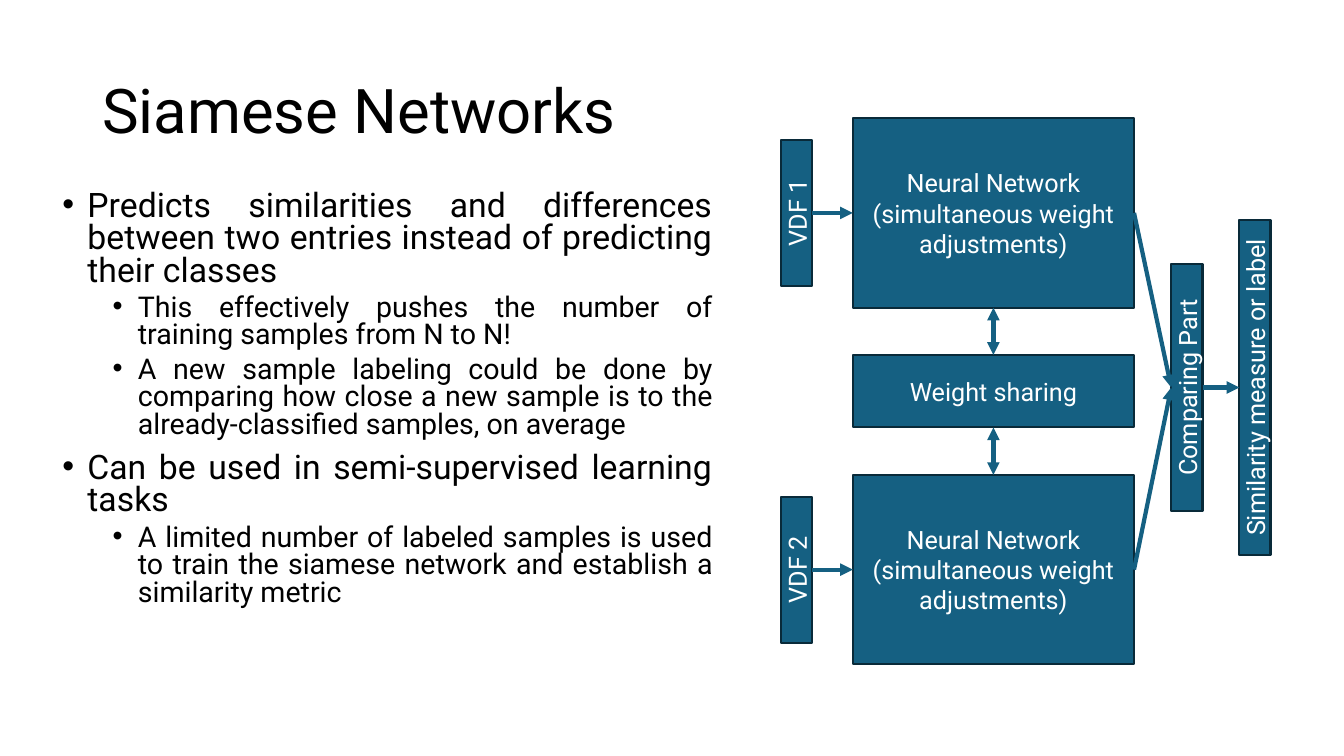
"""Build the Siamese Networks slide with its bullet list and network diagram."""
from dataclasses import dataclass
from enum import IntEnum

from lxml.etree import SubElement
from pptx import Presentation
from pptx.dml.color import RGBColor
from pptx.enum.shapes import MSO_CONNECTOR, MSO_SHAPE
from pptx.enum.text import MSO_ANCHOR, PP_ALIGN
from pptx.oxml.ns import qn
from pptx.util import Pt

FONT = "Roboto"
BLACK, WHITE, TEAL, NAVY = "000000", "FFFFFF", "156082", "092A39"
BAR = 22.32


class Side(IntEnum):
    TOP = 0
    LEFT = 1
    BOTTOM = 2
    RIGHT = 3


@dataclass(frozen=True)
class Block:
    lines: tuple[str, ...]
    center_x: float
    center_y: float
    width: float
    height: float
    upright: bool = False

    def side_middle(self, side: Side) -> tuple[float, float]:
        across, down = {Side.TOP: (0, -1), Side.LEFT: (-1, 0),
                        Side.BOTTOM: (0, 1), Side.RIGHT: (1, 0)}[side]
        width, height = (self.height, self.width) if self.upright else (self.width, self.height)
        return self.center_x + across * width / 2, self.center_y + down * height / 2

    def site(self, side: Side) -> int:
        return (side - 1) % 4 if self.upright else int(side)


@dataclass(frozen=True)
class Link:
    source: str
    source_side: Side
    target: str
    target_side: Side
    two_way: bool = False


@dataclass(frozen=True)
class Bullet:
    text: str
    level: int = 0


BULLETS = [
    Bullet("Predicts similarities and differences between two entries instead of predicting their classes"),
    Bullet("This effectively pushes the number of training samples from N to N!", 1),
    Bullet("A new sample labeling could be done by comparing how close a new sample is "
           "to the already-classified samples, on average", 1),
    Bullet("Can be used in semi-supervised learning tasks"),
    Bullet("A limited number of labeled samples is used to train the siamese network "
           "and establish a similarity metric", 1),
]

UPPER, LOWER, MIDDLE = 152.1, 406.9, 276.8
NETWORK_X, VDF_X = 709.6, 569.2
BLOCKS = {
    "network 1": Block(("Neural Network", "(simultaneous weight adjustments)"),
                       NETWORK_X, UPPER, 200.9, 135.4),
    "network 2": Block(("Neural Network (simultaneous weight adjustments)",),
                       NETWORK_X, LOWER, 200.9, 135.4),
    "vdf 1": Block(("VDF 1",), VDF_X, UPPER, 104.4, BAR, True),
    "vdf 2": Block(("VDF 2",), VDF_X, LOWER, 104.4, BAR, True),
    "comparing": Block(("Comparing Part",), 847.8, MIDDLE, 176.4, BAR, True),
    "similarity": Block(("Similarity measure or label",), 896.4, MIDDLE, 239, BAR, True),
    "sharing": Block(("Weight sharing",), NETWORK_X, 279.4, 200.9, 51.8),
}
LINKS = [
    Link("vdf 1", Side.RIGHT, "network 1", Side.LEFT),
    Link("vdf 2", Side.RIGHT, "network 2", Side.LEFT),
    Link("network 1", Side.RIGHT, "comparing", Side.LEFT),
    Link("network 2", Side.RIGHT, "comparing", Side.LEFT),
    Link("comparing", Side.RIGHT, "similarity", Side.LEFT),
    Link("sharing", Side.TOP, "network 1", Side.BOTTOM, True),
    Link("network 2", Side.TOP, "sharing", Side.BOTTOM, True),
]


def color(hex_value: str) -> RGBColor:
    return RGBColor.from_string(hex_value)


def style(paragraph, size: float, hex_value: str) -> None:
    font = paragraph.font
    font.name, font.size = FONT, Pt(size)
    font.color.rgb = color(hex_value)


def add_text_frame(slide, left: float, top: float, width: float, height: float):
    frame = slide.shapes.add_textbox(Pt(left), Pt(top), Pt(width), Pt(height)).text_frame
    frame.word_wrap = True
    return frame


def draw_title(slide, title: str) -> None:
    frame = add_text_frame(slide, 66, 28.75, 828, 104.4)
    frame.vertical_anchor = MSO_ANCHOR.MIDDLE
    heading = frame.paragraphs[0]
    heading.text, heading.line_spacing = title, 0.9
    style(heading, 44, BLACK)


def draw_bullets(slide, bullets: list[Bullet]) -> None:
    frame = add_text_frame(slide, 37.4, 133.2, 478.8, 329)
    for index, bullet in enumerate(bullets):
        paragraph = frame.add_paragraph() if index else frame.paragraphs[0]
        paragraph.text, paragraph.level = bullet.text, bullet.level
        paragraph.alignment, paragraph.line_spacing = PP_ALIGN.JUSTIFY, 0.8
        if index:
            paragraph.space_before = Pt(5 if bullet.level else 10)
        properties = paragraph._p.get_or_add_pPr()
        properties.set("marL", str(Pt(18 + 36 * bullet.level)))
        properties.set("indent", str(Pt(-18)))
        SubElement(properties, qn("a:buFont"), typeface="Arial")
        SubElement(properties, qn("a:buChar"), char="•")
        style(paragraph, 20.4 if bullet.level else 24.1, BLACK)


def draw_block(slide, block: Block):
    shape = slide.shapes.add_shape(
        MSO_SHAPE.RECTANGLE, Pt(block.center_x - block.width / 2),
        Pt(block.center_y - block.height / 2), Pt(block.width), Pt(block.height))
    shape.rotation = 270 if block.upright else 0
    shape.shadow.inherit = False
    shape.fill.solid()
    shape.fill.fore_color.rgb = color(TEAL)
    shape.line.color.rgb = color(NAVY)
    shape.line.width = Pt(1.5)
    frame = shape.text_frame
    frame.word_wrap, frame.vertical_anchor = True, MSO_ANCHOR.MIDDLE
    for index, line in enumerate(block.lines):
        paragraph = frame.add_paragraph() if index else frame.paragraphs[0]
        paragraph.text, paragraph.alignment = line, PP_ALIGN.CENTER
        style(paragraph, 18, WHITE)
    return shape


def draw_link(slide, link: Link, shapes: dict) -> None:
    source, target = BLOCKS[link.source], BLOCKS[link.target]
    start = [Pt(value) for value in source.side_middle(link.source_side)]
    finish = [Pt(value) for value in target.side_middle(link.target_side)]
    arrow = slide.shapes.add_connector(MSO_CONNECTOR.STRAIGHT, *start, *finish)
    arrow.begin_connect(shapes[link.source], source.site(link.source_side))
    arrow.end_connect(shapes[link.target], target.site(link.target_side))
    arrow.begin_x, arrow.begin_y = start
    arrow.end_x, arrow.end_y = finish
    arrow.line.color.rgb = color(TEAL)
    arrow.line.width = Pt(3)
    outline = arrow.line._get_or_add_ln()
    if link.two_way:
        SubElement(outline, qn("a:headEnd"), type="triangle")
    SubElement(outline, qn("a:tailEnd"), type="triangle")
    SubElement(arrow._element.spPr, qn("a:effectLst"))


def main() -> None:
    presentation = Presentation()
    presentation.slide_width, presentation.slide_height = Pt(960), Pt(540)
    slide = presentation.slides.add_slide(presentation.slide_layouts[6])
    draw_title(slide, "Siamese Networks")
    draw_bullets(slide, BULLETS)
    shapes = {name: draw_block(slide, block) for name, block in BLOCKS.items()}
    for link in LINKS:
        draw_link(slide, link, shapes)
    presentation.save("out.pptx")


if __name__ == "__main__":
    main()
